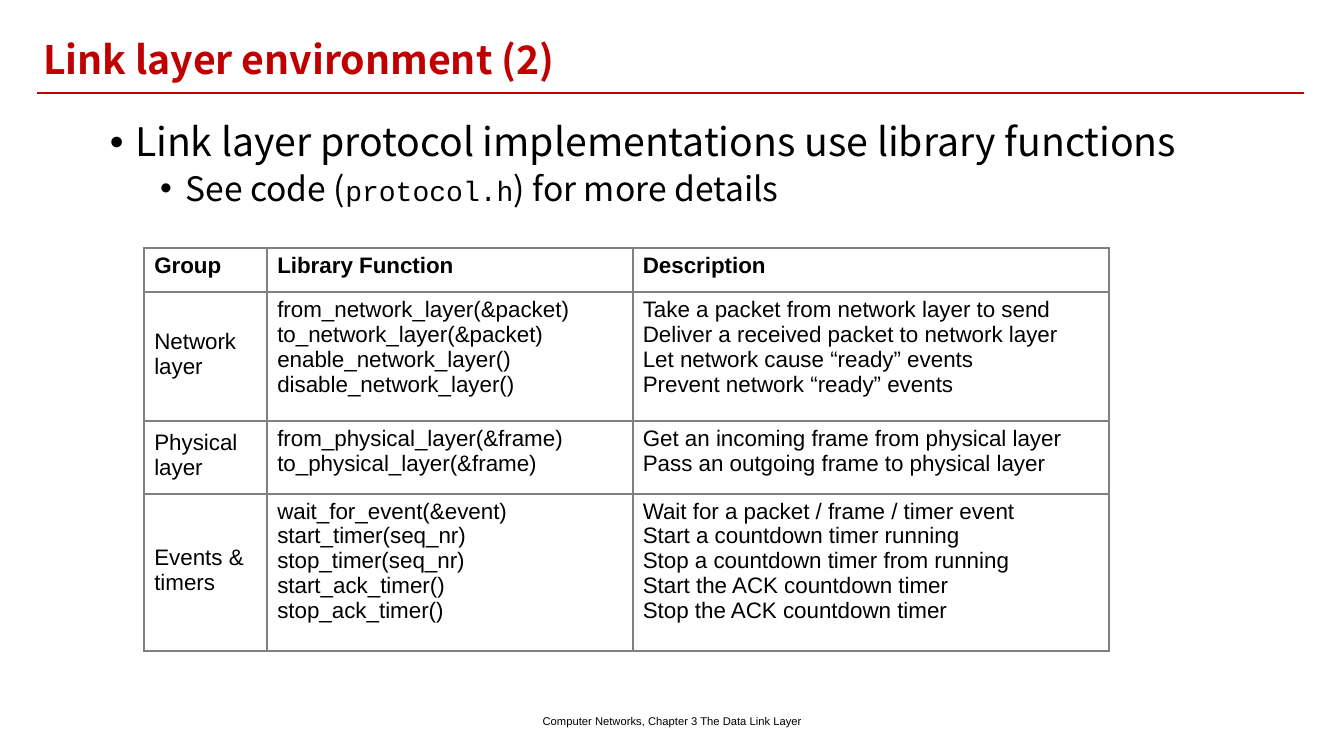
from dataclasses import dataclass

from lxml.etree import SubElement
from pptx import Presentation
from pptx.dml.color import RGBColor
from pptx.enum.shapes import MSO_CONNECTOR, MSO_SHAPE
from pptx.enum.text import MSO_ANCHOR, MSO_AUTO_SIZE, PP_ALIGN
from pptx.oxml.ns import qn
from pptx.util import Inches, Pt

WIDTH = Inches(13.33)
HEIGHT = Inches(7.5)


@dataclass(frozen=True)
class Theme:
    black: str = "000000"
    white: str = "FFFFFF"
    red: str = "C00000"
    gray: str = "808080"
    heading_font: str = "Noto Sans CJK SC"
    table_font: str = "Arial"
    code_font: str = "Courier New"
    title_size: int = 28
    detail_size: int = 24
    code_size: int = 20
    table_size: int = 16
    footer_size: int = 8
    line_width: float = 1.5


THEME = Theme()

TABLE_COLUMNS = (9.15, 27.2, 35.43)
TABLE_ROWS = (5.87, 17.07, 9.6, 20.8)
TABLE_CONTENT = (
    (("Group",), ("Library Function",), ("Description",)),
    (
        ("Network layer",),
        ("from_network_layer(&packet)", "to_network_layer(&packet)",
         "enable_network_layer()", "disable_network_layer()"),
        ("Take a packet from network layer to send",
         "Deliver a received packet to network layer",
         "Let network cause “ready” events",
         "Prevent network “ready” events"),
    ),
    (
        ("Physical layer",),
        ("from_physical_layer(&frame)", "to_physical_layer(&frame)"),
        ("Get an incoming frame from physical layer",
         "Pass an outgoing frame to physical layer"),
    ),
    (
        ("Events & timers",),
        ("wait_for_event(&event)", "start_timer(seq_nr)", "stop_timer(seq_nr)",
         "start_ack_timer()", "stop_ack_timer()"),
        ("Wait for a packet / frame / timer event",
         "Start a countdown timer running",
         "Stop a countdown timer from running",
         "Start the ACK countdown timer",
         "Stop the ACK countdown timer"),
    ),
)


def across(percent):
    return round(WIDTH * percent / 100)


def down(percent):
    return round(HEIGHT * percent / 100)


def area(left, top, width, height):
    return across(left), down(top), across(width), down(height)


def style_font(font, name, size, color=THEME.black, bold=False):
    font.name = name
    font.size = Pt(size)
    font.bold = bold
    font.color.rgb = RGBColor.from_string(color)


def add_title(slide, text):
    title = slide.shapes.add_shape(MSO_SHAPE.RECTANGLE, *area(2.48, 4, 96.08, 7.6))
    title.shadow.inherit = False
    title.fill.solid()
    title.fill.fore_color.rgb = RGBColor.from_string(THEME.white)
    title.line.fill.background()
    frame = title.text_frame
    frame.text = text
    frame.word_wrap = True
    frame.auto_size = MSO_AUTO_SIZE.SHAPE_TO_FIT_TEXT
    frame.vertical_anchor = MSO_ANCHOR.TOP
    paragraph = frame.paragraphs[0]
    paragraph.alignment = PP_ALIGN.LEFT
    style_font(paragraph.runs[0].font, THEME.heading_font, THEME.title_size,
               THEME.red, True)


def add_rule(slide):
    rule = slide.shapes.add_connector(
        MSO_CONNECTOR.STRAIGHT, across(2.78), down(12.27), across(97), down(12.27))
    rule.line.color.rgb = RGBColor.from_string(THEME.red)
    rule.line.width = Pt(THEME.line_width)
    SubElement(rule.element.spPr, qn("a:effectLst"))


def add_text_box(slide, *bounds):
    frame = slide.shapes.add_textbox(*area(*bounds)).text_frame
    frame.word_wrap = True
    return frame


def write_bullet(paragraph, level, runs):
    paragraph.level = level
    properties = paragraph._p.get_or_add_pPr()
    properties.set("marL", str(Inches(0.25 + 0.5 * level)))
    properties.set("indent", str(Inches(-0.25)))
    SubElement(properties, qn("a:buFont"), typeface=THEME.table_font)
    SubElement(properties, qn("a:buChar"), char="•")
    paragraph.line_spacing = 0.9
    for text, font, size in runs:
        run = paragraph.add_run()
        run.text = text
        style_font(run.font, font, size)


def add_bullets(slide):
    frame = add_text_box(slide, 7.43, 15.6, 86.25, 14.4)
    write_bullet(frame.paragraphs[0], 0, (
        ("Link layer protocol implementations use library functions",
         THEME.heading_font, THEME.title_size),
    ))
    detail = frame.add_paragraph()
    write_bullet(detail, 1, (
        ("See code (", THEME.heading_font, THEME.detail_size),
        ("protocol.h", THEME.code_font, THEME.code_size),
        (") for more details", THEME.heading_font, THEME.detail_size),
    ))
    detail.space_before = Pt(5)


def add_borders(cell):
    properties = cell._tc.get_or_add_tcPr()
    for position, side in enumerate(("a:lnL", "a:lnR", "a:lnT", "a:lnB")):
        border = properties.makeelement(qn(side), {"w": str(Pt(THEME.line_width))})
        fill = SubElement(border, qn("a:solidFill"))
        SubElement(fill, qn("a:srgbClr"), val=THEME.gray)
        properties.insert(position, border)


def write_cell(cell, lines, bold, anchor):
    cell.text = "\n".join(lines)
    cell.vertical_anchor = anchor
    cell.margin_left = cell.margin_right = cell.margin_bottom = Inches(0.1)
    cell.margin_top = Inches(0.05)
    cell.fill.solid()
    cell.fill.fore_color.rgb = RGBColor.from_string(THEME.white)
    add_borders(cell)
    for paragraph in cell.text_frame.paragraphs:
        style_font(paragraph.runs[0].font, THEME.table_font, THEME.table_size, bold=bold)


def add_function_table(slide):
    bounds = area(10.73, 32.8, sum(TABLE_COLUMNS), sum(TABLE_ROWS))
    table = slide.shapes.add_table(len(TABLE_ROWS), len(TABLE_COLUMNS), *bounds).table
    table.horz_banding = False
    for column, width in zip(table.columns, TABLE_COLUMNS):
        column.width = across(width)
    for row, height in zip(table.rows, TABLE_ROWS):
        row.height = down(height)
    for row_index, row_content in enumerate(TABLE_CONTENT):
        for column_index, lines in enumerate(row_content):
            is_header = row_index == 0
            is_group = column_index == 0 and not is_header
            anchor = MSO_ANCHOR.MIDDLE if is_group else MSO_ANCHOR.TOP
            write_cell(table.cell(row_index, column_index), lines, is_header, anchor)


def add_footer(slide, text):
    frame = add_text_box(slide, 33.15, 92.67, 33.75, 5.33)
    frame.text = text
    frame.vertical_anchor = MSO_ANCHOR.MIDDLE
    paragraph = frame.paragraphs[0]
    paragraph.alignment = PP_ALIGN.CENTER
    style_font(paragraph.runs[0].font, THEME.table_font, THEME.footer_size)


def main():
    presentation = Presentation()
    presentation.slide_width = WIDTH
    presentation.slide_height = HEIGHT
    slide = presentation.slides.add_slide(presentation.slide_layouts[6])
    add_title(slide, "Link layer environment (2)")
    add_rule(slide)
    add_bullets(slide)
    add_function_table(slide)
    add_footer(slide, "Computer Networks, Chapter 3 The Data Link Layer")
    presentation.save("out.pptx")


if __name__ == "__main__":
    main()
